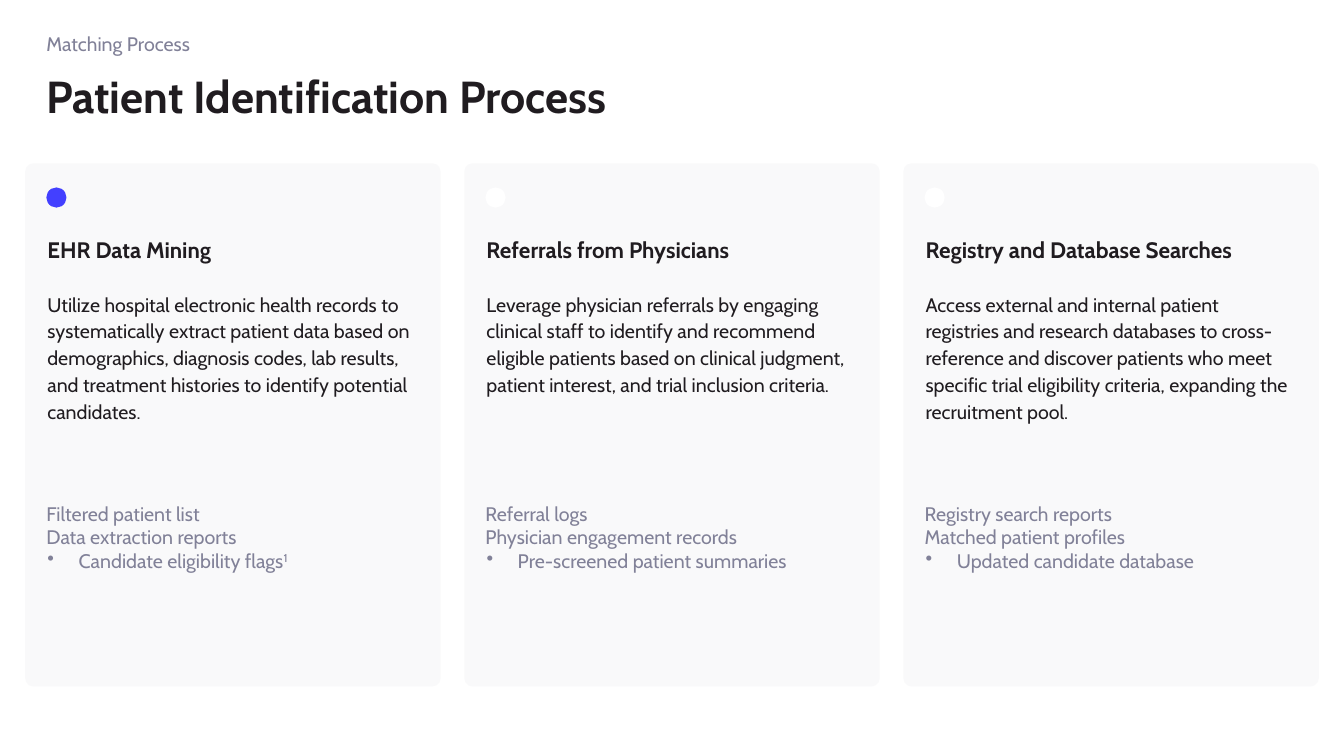
from dataclasses import dataclass

from lxml import etree
from pptx import Presentation
from pptx.dml.color import RGBColor
from pptx.enum.shapes import MSO_SHAPE
from pptx.oxml.ns import qn
from pptx.util import Inches, Pt

ROUND = MSO_SHAPE.ROUNDED_RECTANGLE
OVAL = MSO_SHAPE.OVAL


@dataclass(frozen=True)
class Theme:
    font: str = "Cabin"
    ink: str = "201C20"
    muted: str = "818198"
    panel: str = "F9F9FA"
    accent: str = "4340FF"
    white: str = "FFFFFF"
    title: int = 32
    head: int = 16
    body: int = 14


THEME = Theme()

CARDS = [
    ("EHR Data Mining",
     "Utilize hospital electronic health records to systematically extract "
     "patient data based on demographics, diagnosis codes, lab results, and "
     "treatment histories to identify potential candidates.",
     ["Filtered patient list", "Data extraction reports",
      "Candidate eligibility flags"], "1", THEME.accent),
    ("Referrals from Physicians",
     "Leverage physician referrals by engaging clinical staff to identify and "
     "recommend eligible patients based on clinical judgment, patient "
     "interest, and trial inclusion criteria.",
     ["Referral logs", "Physician engagement records",
      "Pre-screened patient summaries"], "", THEME.white),
    ("Registry and Database Searches",
     "Access external and internal patient registries and research databases "
     "to cross-reference and discover patients who meet specific trial "
     "eligibility criteria, expanding the recruitment pool.",
     ["Registry search reports", "Matched patient profiles",
      "Updated candidate database"], "", THEME.white),
]


def add_form(slide, kind, box, color):
    form = slide.shapes.add_shape(kind, *map(Inches, box))
    form.shadow.inherit = False
    form.fill.solid()
    form.fill.fore_color.rgb = RGBColor.from_string(color)
    form.line.fill.background()
    return form


def add_frame(slide, box):
    frame = slide.shapes.add_textbox(*map(Inches, box)).text_frame
    frame.word_wrap = True
    frame.margin_left = 0
    frame.margin_right = Inches(0.1)
    frame.margin_top = frame.margin_bottom = Inches(0.05)
    return frame


def add_run(para, text, size, color, bold=False):
    run = para.add_run()
    run.text = text
    run.font.name = THEME.font
    run.font.size = Pt(size)
    run.font.bold = bold
    run.font.color.rgb = RGBColor.from_string(color)
    return run


def set_indent(para, left, first=0):
    props = para._p.get_or_add_pPr()
    props.set("marL", str(Inches(left)))
    props.set("indent", str(Inches(first)))
    return props


def add_header(slide, left, top, width):
    para = add_frame(slide, (left, top + 0.42, width, 0.69)).paragraphs[0]
    para.line_spacing = 0.9
    add_run(para, "Patient Identification Process", THEME.title, THEME.ink, True)
    para = add_frame(slide, (left, top, 3.92, 0.45)).paragraphs[0]
    add_run(para, "Matching Process", THEME.body, THEME.muted)


def add_list(slide, box, items, note):
    frame = add_frame(slide, box)
    for i, item in enumerate(items):
        para = frame.paragraphs[0] if i == 0 else frame.add_paragraph()
        add_run(para, item, THEME.body, THEME.muted)
    props = set_indent(para, 0.32, -0.31)
    etree.SubElement(props, qn("a:buChar")).set("char", "•")
    if note:
        mark = add_run(para, note, THEME.body, THEME.muted)
        mark._r.get_or_add_rPr().set("baseline", "30000")


def add_card(slide, box, card):
    left, top, width, height = box
    head, body, items, note, color = card
    inner, span = left + 0.21, width - 0.4
    add_form(slide, ROUND, box, THEME.panel).adjustments[0] = 0.02
    add_form(slide, OVAL, (inner, top + 0.24, 0.2, 0.2), color)

    para = add_frame(slide, (inner, top + 0.67, span, 0.53)).paragraphs[0]
    set_indent(para, 0, 0.01)
    add_run(para, head, THEME.head, THEME.ink, True)

    para = add_frame(slide, (inner, top + 1.2, span, 2.11)).paragraphs[0]
    set_indent(para, 0.01)
    para.line_spacing = 1.14
    add_run(para, body, THEME.body, THEME.ink)

    add_list(slide, (inner, top + 3.31, span, height - 3.46), items, note)


def add_cards(slide, left, top, width, height):
    wide = 4.12
    step = (width - wide) / (len(CARDS) - 1)
    for i, card in enumerate(CARDS):
        add_card(slide, (left + i * step, top, wide, height), card)


def main():
    deck = Presentation()
    deck.slide_width = Inches(13.33)
    deck.slide_height = Inches(7.5)
    slide = deck.slides.add_slide(deck.slide_layouts[6])
    add_header(slide, 0.46, 0.27, 12.42)
    add_cards(slide, 0.25, 1.62, 12.83, 5.19)
    deck.save("out.pptx")


if __name__ == "__main__":
    main()
